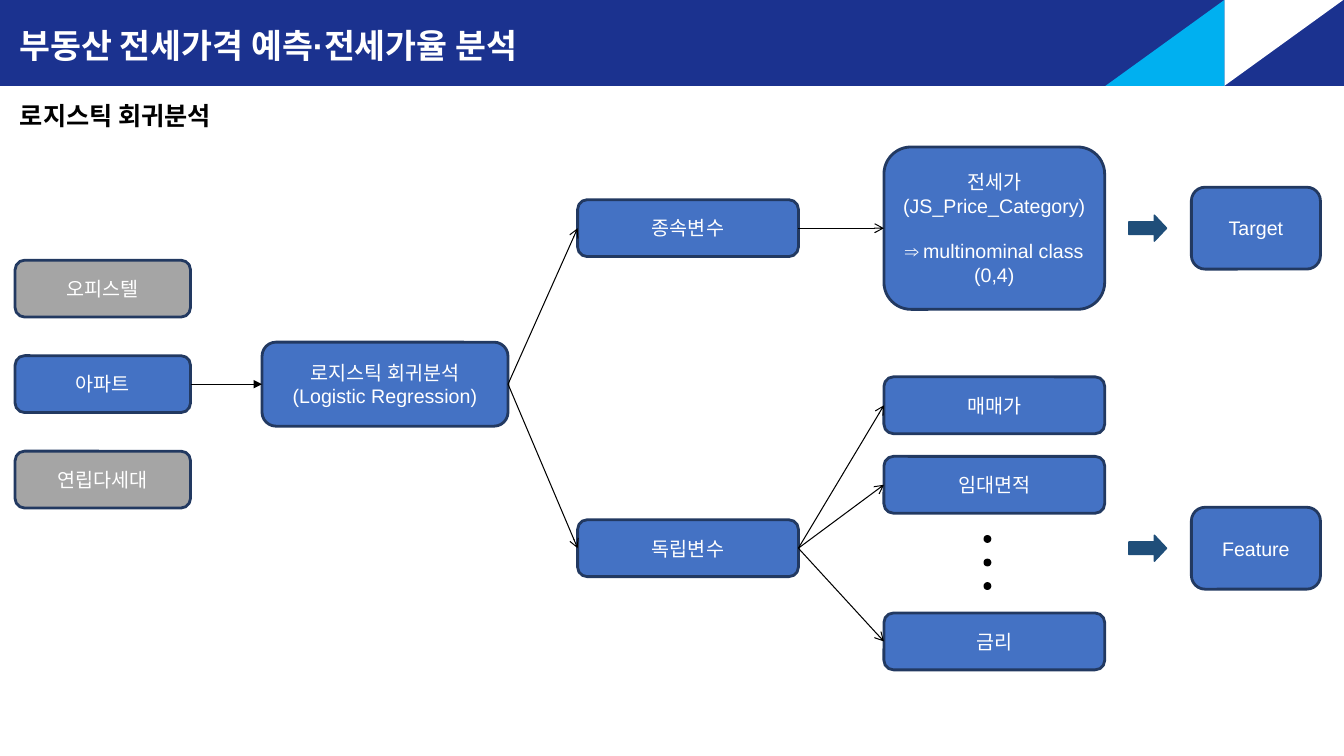
from dataclasses import dataclass
from lxml.etree import SubElement
from pptx import Presentation
from pptx.dml.color import RGBColor
from pptx.enum.shapes import MSO_CONNECTOR as Connector, MSO_SHAPE as Shape
from pptx.enum.text import MSO_ANCHOR as Anchor, PP_ALIGN as Align
from pptx.oxml.ns import qn
from pptx.util import Pt


@dataclass(frozen=True)
class Theme:
    navy: str = "1B328F"
    cyan: str = "00B0F0"
    blue: str = "4472C4"
    gray: str = "A5A5A5"
    edge: str = "223961"
    arrow: str = "1F4E79"
    white: str = "FFFFFF"
    black: str = "000000"
    latin: str = "Arial"
    korean: str = "Noto Sans CJK KR"
    title: int = 24
    subtitle: int = 18
    label: int = 14


theme = Theme()

# Content
TITLE = "부동산 전세가격 예측·전세가율 분석"
SUBTITLE = "로지스틱 회귀분석"

# Columns: left, width
COLUMNS = {
    "housing": (10.8, 125.3),
    "model": (187.2, 175.7),
    "variable": (412.6, 157.7),
    "value": (631.4, 157.7),
    "role": (851, 92.2),
}
TOP_ROW, MIDDLE_ROW, BOTTOM_ROW = 163, 274.4, 391.6
HOUSING_STEP = 68.2
LOW, MEDIUM, TALL, TALLEST = 40.6, 58.5, 60, 116

# Nodes: key, column, centre y, height, fill, lines of text
NODES = [
    ("officetel", "housing", MIDDLE_ROW - HOUSING_STEP, LOW, theme.gray, ["오피스텔"]),
    ("apartment", "housing", MIDDLE_ROW, LOW, theme.blue, ["아파트"]),
    ("row house", "housing", MIDDLE_ROW + HOUSING_STEP, LOW, theme.gray, ["연립다세대"]),
    ("model", "model", MIDDLE_ROW, TALL, theme.blue,
     ["로지스틱 회귀분석", "(Logistic Regression)"]),
    ("dependent", "variable", TOP_ROW, LOW, theme.blue, ["종속변수"]),
    ("independent", "variable", BOTTOM_ROW, LOW, theme.blue, ["독립변수"]),
    ("category", "value", TOP_ROW, TALLEST, theme.blue,
     ["전세가", "(JS_Price_Category)", "⇒ multinominal class (0,4)"]),
    ("sale price", "value", 289.5, LOW, theme.blue, ["매매가"]),
    ("area", "value", 346.3, LOW, theme.blue, ["임대면적"]),
    ("rate", "value", 458.2, LOW, theme.blue, ["금리"]),
    ("target", "role", TOP_ROW, MEDIUM, theme.blue, ["Target"]),
    ("feature", "role", BOTTOM_ROW, MEDIUM, theme.blue, ["Feature"]),
]
# Links: from, to, arrowhead
LINKS = [
    ("apartment", "model", "triangle"),
    ("model", "dependent", "arrow"),
    ("model", "independent", "arrow"),
    ("dependent", "category", "arrow"),
    ("independent", "sale price", "arrow"),
    ("independent", "area", "arrow"),
    ("independent", "rate", "arrow"),
]

deck = Presentation()
deck.slide_width, deck.slide_height = Pt(960), Pt(540)
page = deck.slides.add_slide(deck.slide_layouts[6])


def rgb(color):
    return RGBColor.from_string(color)


def add_centred(kind, x, y, width, height, fill, line=None, weight=2):
    """Add a preset shape around its centre point."""
    shape = page.shapes.add_shape(
        kind, Pt(x - width / 2), Pt(y - height / 2), Pt(width), Pt(height))
    shape.shadow.inherit = False
    shape.fill.solid()
    shape.fill.fore_color.rgb = rgb(fill)
    if line:
        shape.line.color.rgb = rgb(line)
        shape.line.width = Pt(weight)
    else:
        shape.line.fill.background()
    return shape


def add_span(para, text, size, color, bold=False, latin=theme.latin):
    """Add a run and return its properties element."""
    span = para.add_run()
    span.text = text
    span.font.size = Pt(size)
    span.font.bold = bold
    span.font.name = latin
    span.font.color.rgb = rgb(color)
    properties = span._r.get_or_add_rPr()
    SubElement(properties, qn("a:ea"), typeface=theme.korean)
    return properties


# Header band with its two triangles
band = add_centred(Shape.RECTANGLE, 480, 30.7, 960, 61.4, theme.navy)
frame = band.text_frame
frame.vertical_anchor = Anchor.TOP
frame.margin_left = Pt(13.9)
para = frame.paragraphs[0]
para.alignment = Align.LEFT
para.line_spacing = 1.5
add_span(para, TITLE, theme.title, theme.white, bold=True)

for x, turn, color in [(917, 90, theme.white), (832, 270, theme.cyan)]:
    triangle = add_centred(Shape.RIGHT_TRIANGLE, x, 30.7, 61.4, 85, color)
    triangle.rotation = turn

# Subtitle
box = page.shapes.add_textbox(Pt(7.2), Pt(68.4), Pt(175.7), Pt(28.8))
box.text_frame.word_wrap = True
add_span(box.text_frame.paragraphs[0], SUBTITLE, theme.subtitle, theme.black,
         bold=True, latin=theme.korean)

# Block arrows towards the roles
for y in (TOP_ROW, BOTTOM_ROW):
    arrow = add_centred(Shape.RIGHT_ARROW, 819.8, y, 27, 18.6,
                        theme.arrow, theme.arrow, 1)
    arrow.adjustments[0], arrow.adjustments[1] = 0.48, 0.47

# Nodes
nodes = {}
for key, column, y, height, fill, lines in NODES:
    left, width = COLUMNS[column]
    node = add_centred(Shape.ROUNDED_RECTANGLE, left + width / 2, y, width, height,
                       fill, theme.edge)
    frame = node.text_frame
    frame.word_wrap = True
    frame.vertical_anchor = Anchor.MIDDLE
    for index, line in enumerate(lines):
        para = frame.add_paragraph() if index else frame.paragraphs[0]
        para.alignment = Align.CENTER
        if line.startswith("⇒ "):
            para.space_before = Pt(16)
            mark = add_span(para, "⇒ ", theme.label, theme.white)
            mark.set("spc", "-100")
            line = line.removeprefix("⇒ ")
        add_span(para, line, theme.label, theme.white)
    nodes[key] = node

# Links run from the right side (site 3) to the left side (site 1)
for start, end, head in LINKS:
    link = page.shapes.add_connector(Connector.STRAIGHT, 0, 0, 0, 0)
    link.begin_connect(nodes[start], 3)
    link.end_connect(nodes[end], 1)
    link.line.color.rgb = rgb(theme.black)
    link.line.width = Pt(0.75)
    properties = link._element.spPr
    SubElement(properties.find(qn("a:ln")), qn("a:tailEnd"), type=head)
    SubElement(properties, qn("a:effectLst"))

# Dots standing for further variables
for index in range(3):
    add_centred(Shape.FLOWCHART_CONNECTOR, 705.3, 385 + 16.8 * index, 3.6, 3.6,
                theme.black, theme.black)

deck.save("out.pptx")
